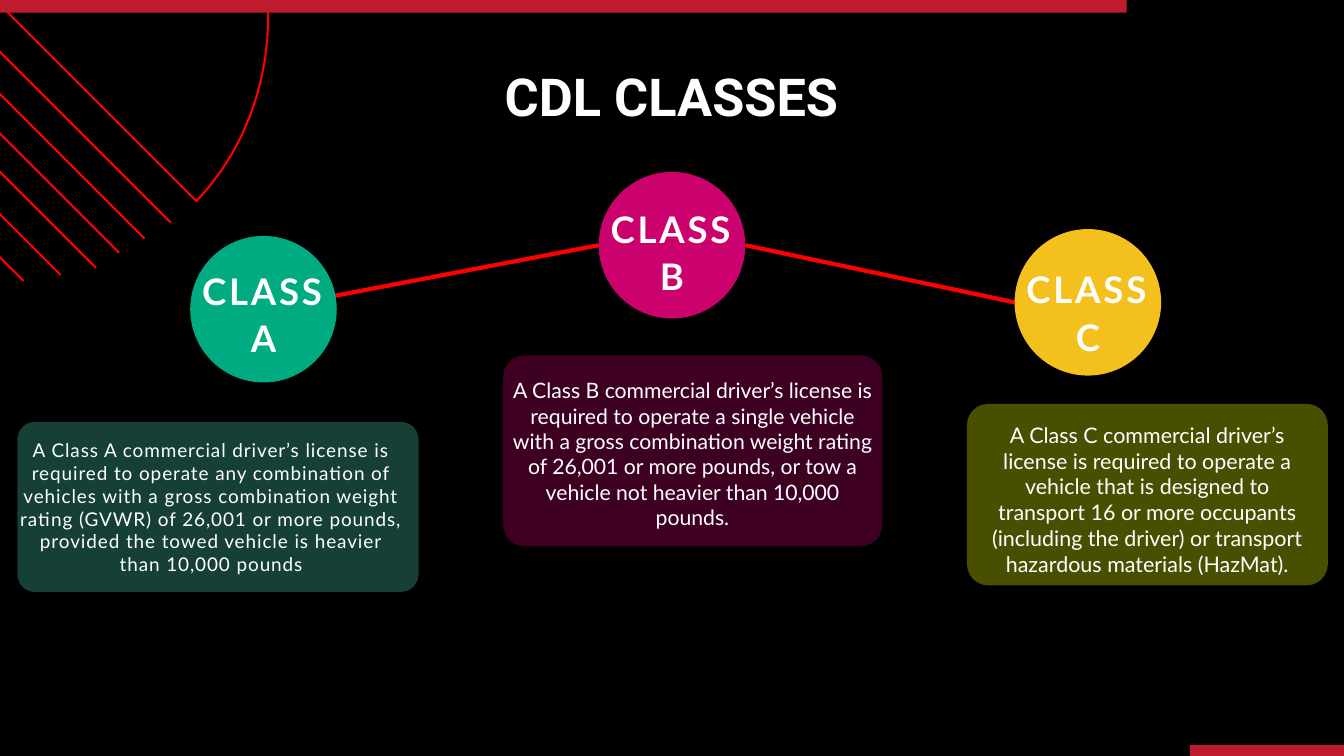
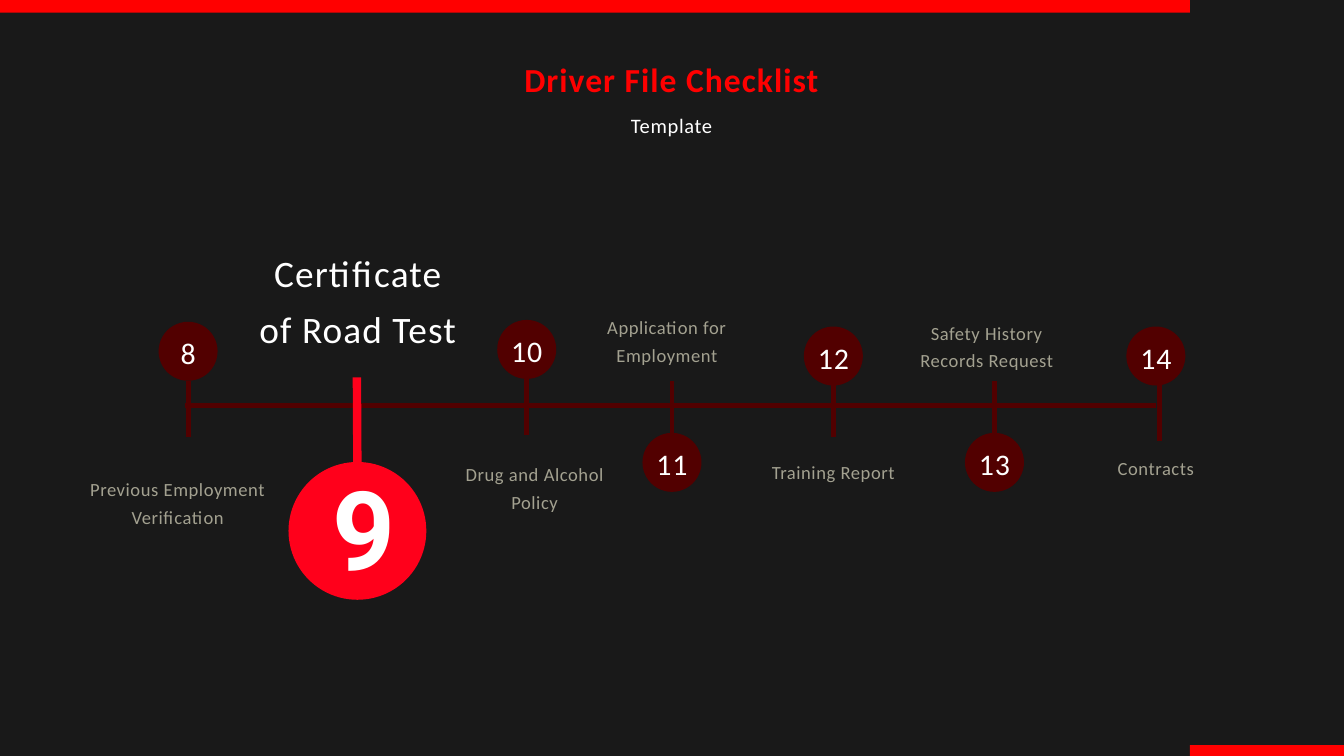
"""Build two slides: the licence classes and the driver file checklist."""
from lxml import etree
from pptx import Presentation
from pptx.dml.color import RGBColor
from pptx.enum.shapes import MSO_CONNECTOR, MSO_SHAPE
from pptx.enum.text import MSO_ANCHOR, PP_ALIGN
from pptx.oxml.ns import qn
from pptx.util import Cm, Pt

STRAIGHT = MSO_CONNECTOR.STRAIGHT
OVAL, RECTANGLE, ROUNDED = MSO_SHAPE.OVAL, MSO_SHAPE.RECTANGLE, MSO_SHAPE.ROUNDED_RECTANGLE
CENTER = PP_ALIGN.CENTER
TOP, MIDDLE = MSO_ANCHOR.TOP, MSO_ANCHOR.MIDDLE

COLORS = {
    "black": "000000", "charcoal": "191919", "white": "FFFFFF", "red": "FF0000",
    "crimson": "BE1C2D", "maroon": "520000", "scarlet": "FF001B", "stone": "A3A190",
    "green": "00AB81", "mint": "48CFAE", "magenta": "CB016E", "amber": "F4C01E",
    "lime": "EBFF00",
}

CLASS_TITLE = "CDL CLASSES"
CLASSES = [
    {"letter": "A", "center": (9.96, 11.69), "label_top": 10.01, "color": "green",
     "card": (0.66, 15.95, 15.16, 6.43), "card_color": "mint", "radius": 0.66,
     "text_box": (0.76, 16.59, 14.45, 5.08), "size": 20.3, "leading": 24.4, "tracking": 1,
     "text": "A Class A commercial driver’s license is required to operate any "
             "combination of vehicles with a gross combination weight rating (GVWR) of "
             "26,001 or more pounds, provided the towed vehicle is heavier than 10,000 pounds"},
    {"letter": "B", "center": (25.4, 9.27), "label_top": 7.67, "color": "magenta",
     "card": (19.02, 13.44, 14.33, 7.21), "card_color": "magenta", "radius": 0.8,
     "text_box": (19.28, 14.27, 13.79, 5.72), "size": 22.7, "leading": 27.2, "tracking": 0,
     "text": "A Class B commercial driver’s license is required to operate a single "
             "vehicle with a gross combination weight rating of 26,001 or more pounds, "
             "or tow a vehicle not heavier than 10,000 pounds."},
    {"letter": "C", "center": (41.12, 11.43), "label_top": 9.96, "color": "amber",
     "card": (36.55, 15.27, 13.64, 6.86), "card_color": "lime", "radius": 0.8,
     "text_box": (37.06, 15.95, 12.62, 5.72), "size": 23, "leading": 27.6, "tracking": 0,
     "text": "A Class C commercial driver’s license is required to operate a vehicle "
             "that is designed to transport 16 or more occupants (including the driver) "
             "or transport hazardous materials (HazMat)."},
]
CLASS_DIAMETER = 5.54
CLASS_LINKS = [((12.67, 11.18), (22.63, 9.27)), ((38.35, 11.43), (28.17, 9.27))]

DOME_CENTER = (3.64, -3.18)
DOME_HEIGHT = 9.9
DOME_LEFT_CURVES = [
    [(-10.3, 9.9), (-10.22, 5.81), (-7.38, 1.99), (-3.42, 0.62)],
    [(-3.42, 0.62), (-2.35, 0.23), (-1.15, 0), (0, 0)],
]
STRIPES = [
    ((6.45, 8.41), 14.3), ((5.46, 9.02), 14), ((4.5, 9.55), 13.54),
    ((3.63, 10.13), 13.03), ((2.29, 10.39), 12.07), ((0.89, 10.62), 11.05),
]

CHECKLIST_TITLE = "Driver File Checklist"
CHECKLIST_SUBTITLE = "Template"
AXIS = ((7.01, 15.34), (43.71, 15.34))
MILESTONES = [
    {"number": "8", "center": (7.11, 13.28), "stem": (7.11, 14.4),
     "caption": ["Previous Employment Verification"], "caption_at": (6.72, 17.86)},
    {"number": "10", "center": (19.91, 13.21), "stem": (19.91, 14.33),
     "caption": ["Drug and Alcohol", "Policy"], "caption_at": (20.21, 17.3)},
    {"number": "11", "center": (25.4, 17.48), "stem": (25.4, 14.4),
     "caption": ["Application for Employment"], "caption_at": (25.21, 11.73)},
    {"number": "12", "center": (31.5, 13.46), "stem": (31.5, 14.4),
     "caption": ["Training Report"], "caption_at": (31.5, 17.22)},
    {"number": "13", "center": (37.59, 17.48), "stem": (37.59, 14.4),
     "caption": ["Safety History Records Request"], "caption_at": (37.3, 11.94)},
    {"number": "14", "center": (43.69, 13.46), "stem": (43.82, 14.55),
     "caption": ["Contracts"], "caption_at": (43.69, 17.07)},
]
STEM_LENGTH = 2.13
MILESTONE_DIAMETER = 2.23
CAPTION_WIDTH, CAPTION_HEIGHT = 6.73, 2.01
CURRENT = {"number": "9", "center": (13.51, 20.07), "diameter": 5.21,
           "stem": ((13.51, 18.01), (13.49, 14.27)),
           "caption": ["Certificate", "of Road Test"]}


def rgb(name):
    return RGBColor.from_string(COLORS[name])


def add_slide(presentation, background):
    slide = presentation.slides.add_slide(presentation.slide_layouts[6])
    slide.background.fill.solid()
    slide.background.fill.fore_color.rgb = rgb(background)
    return slide


def add_filled(slide, kind, box, color, alpha=None):
    shape = slide.shapes.add_shape(kind, *map(Cm, box))
    shape.shadow.inherit = False
    shape.fill.solid()
    shape.fill.fore_color.rgb = rgb(color)
    shape.line.fill.background()
    if alpha:
        fill_color = shape.fill._xPr.find(qn("a:solidFill"))[0]
        etree.SubElement(fill_color, qn("a:alpha")).set("val", str(alpha * 1000))
    return shape


def add_circle(slide, center, diameter, color):
    left, top = (value - diameter / 2 for value in center)
    add_filled(slide, OVAL, (left, top, diameter, diameter), color)


def add_line(slide, start, end, color, weight):
    connector = slide.shapes.add_connector(STRAIGHT, *map(Cm, start + end))
    connector.line.color.rgb = rgb(color)
    connector.line.width = Pt(weight)
    etree.SubElement(connector._element.spPr, qn("a:effectLst"))


def add_text(slide, box, lines, font, size, leading, color="white", bold=False,
             tracking=0, inset=0, anchor=TOP):
    frame = slide.shapes.add_textbox(*map(Cm, box)).text_frame
    frame.word_wrap = True
    frame.vertical_anchor = anchor
    frame.margin_left = frame.margin_right = Cm(inset)
    frame.margin_top = frame.margin_bottom = Cm(inset)
    for index, line in enumerate(lines):
        paragraph = frame.add_paragraph() if index else frame.paragraphs[0]
        paragraph.alignment = CENTER
        paragraph.line_spacing = Pt(leading)
        for part_index, part in enumerate(line.split("\v")):
            if part_index:
                paragraph.add_line_break()
            run = paragraph.add_run()
            run.text = part
            run.font.name = font
            run.font.size = Pt(size)
            run.font.bold = bold
            run.font.color.rgb = rgb(color)
            if tracking:
                run._r.get_or_add_rPr().set("spc", str(round(tracking * 100)))


def add_bands(slide, color, top_left):
    add_filled(slide, RECTANGLE, (44.98, 28.17, 6.35, 0.46), color)
    add_filled(slide, RECTANGLE, (top_left, 0, 44.98, 0.48), color)


def curve_points(curve, steps=16):
    for step in range(steps + 1):
        t = step / steps
        weights = ((1 - t) ** 3, 3 * t * (1 - t) ** 2, 3 * t * t * (1 - t), t ** 3)
        yield tuple(sum(weight * point[axis] for weight, point in zip(weights, curve))
                    for axis in (0, 1))


def add_dome(slide):
    left_side = [point for curve in DOME_LEFT_CURVES for point in curve_points(curve)]
    right_side = [(-x, y) for x, y in reversed(left_side)]
    center_x, center_y = DOME_CENTER
    points = [(Cm(center_x + x), Cm(center_y - DOME_HEIGHT / 2 + y))
              for x, y in left_side + right_side]
    builder = slide.shapes.build_freeform(*points[0])
    builder.add_line_segments(points[1:], close=True)
    dome = builder.convert_to_shape()
    dome.rotation = 45
    dome.shadow.inherit = False
    dome.fill.background()
    dome.line.color.rgb = rgb("red")
    dome.line.width = Pt(2.25)


def build_classes(presentation):
    slide = add_slide(presentation, "black")
    for start, end in CLASS_LINKS:
        add_line(slide, start, end, "red", 4.5)
    add_dome(slide)
    for (x, y), run_length in STRIPES:
        add_line(slide, (x - run_length, y - run_length), (x, y), "red", 2.25)
    add_text(slide, (14.83, 2.84, 21.11, 2.34), [CLASS_TITLE], "Roboto", 56, 55.4, bold=True)
    for item in CLASSES:
        add_circle(slide, item["center"], CLASS_DIAMETER, item["color"])
        label_left = item["center"][0] - CLASS_DIAMETER / 2
        add_text(slide, (label_left, item["label_top"], CLASS_DIAMETER, 3.48),
                 ["CLASS\v" + item["letter"]], "Lato", 39.2, 51, bold=True, tracking=3)
        card = add_filled(slide, ROUNDED, item["card"], item["card_color"], alpha=31)
        card.adjustments[0] = item["radius"] / item["card"][3]
        add_text(slide, item["text_box"], [item["text"]], "Lato", item["size"],
                 item["leading"], tracking=item["tracking"])
    add_bands(slide, "crimson", -2.39)


def build_checklist(presentation):
    slide = add_slide(presentation, "charcoal")
    add_text(slide, (8.38, 2.11, 34.01, 1.6), [CHECKLIST_TITLE], "Calibri", 36, 46.8,
             "red", bold=True, tracking=1.1)
    add_text(slide, (8.38, 4.04, 34.01, 1.02), [CHECKLIST_SUBTITLE], "Calibri", 22, 33,
             tracking=0.7)
    add_bands(slide, "red", 0)
    add_line(slide, *AXIS, "maroon", 5.25)
    for milestone in MILESTONES:
        x, y = milestone["center"]
        stem_x, stem_top = milestone["stem"]
        add_line(slide, (stem_x, stem_top + STEM_LENGTH), (stem_x, stem_top), "maroon", 5.25)
        add_circle(slide, (x, y), MILESTONE_DIAMETER, "maroon")
        add_text(slide, (x - 0.9, y - 1.17, 1.8, 2.08), [milestone["number"]], "Calibri",
                 32, 48, tracking=1, inset=0.15, anchor=MIDDLE)
        caption_x, caption_top = milestone["caption_at"]
        add_text(slide, (caption_x - CAPTION_WIDTH / 2, caption_top, CAPTION_WIDTH,
                         CAPTION_HEIGHT),
                 milestone["caption"], "Calibri", 19.9, 29.9, "stone", tracking=0.6)
    add_line(slide, *CURRENT["stem"], "scarlet", 9)
    add_circle(slide, CURRENT["center"], CURRENT["diameter"], "scarlet")
    add_text(slide, (12.57, 18.24, 1.83, 4.34), [CURRENT["number"]], "Roboto",
             117.6, 117.6, bold=True)
    add_text(slide, (9.12, 9.02, 8.81, 4.17), CURRENT["caption"], "Calibri", 40, 60,
             tracking=1.2)


def main():
    presentation = Presentation()
    presentation.slide_width, presentation.slide_height = Cm(50.8), Cm(28.58)
    build_classes(presentation)
    build_checklist(presentation)
    presentation.save("out.pptx")


if __name__ == "__main__":
    main()
